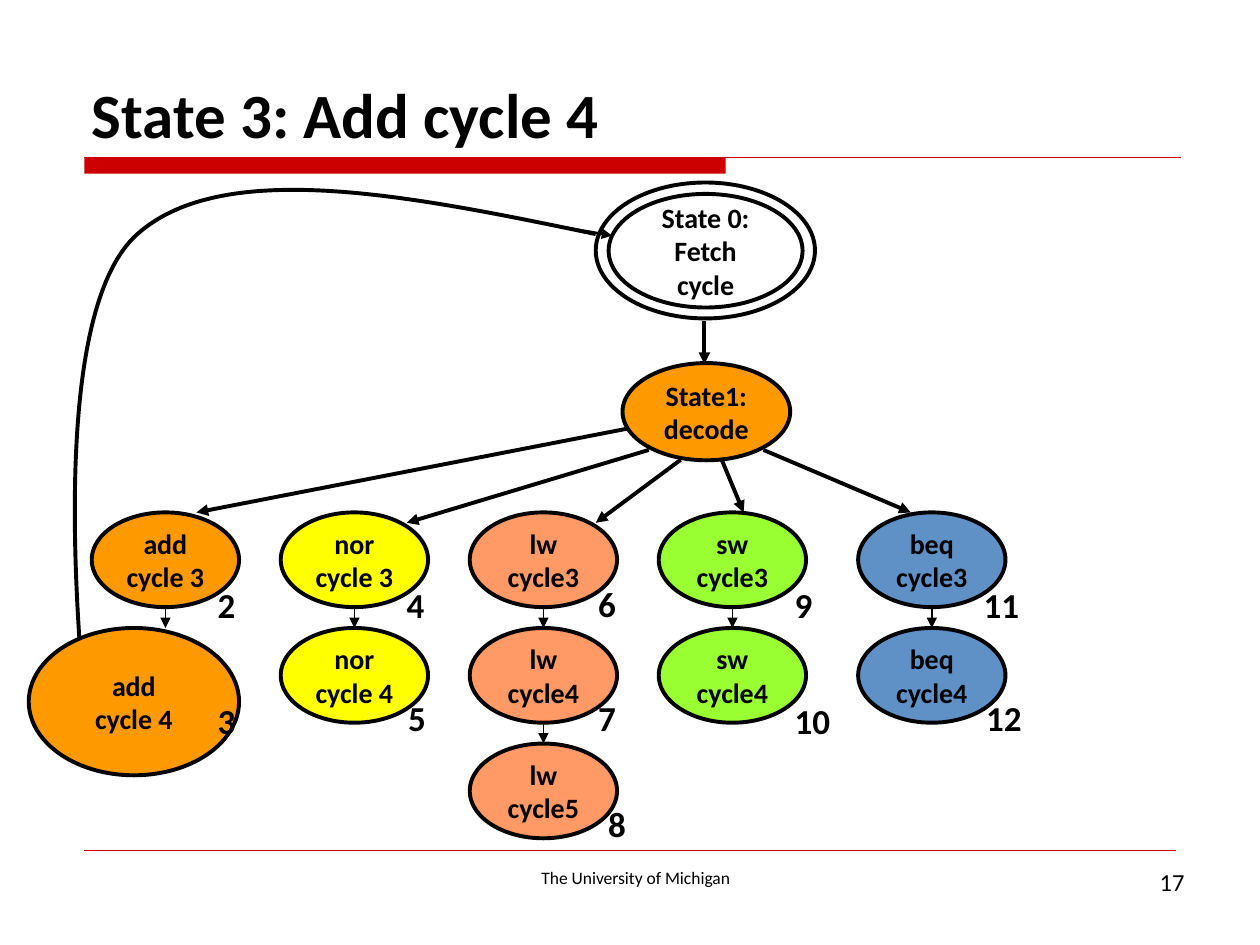
from lxml import etree
from pptx import Presentation
from pptx.dml.color import RGBColor
from pptx.enum.shapes import MSO_CONNECTOR, MSO_SHAPE
from pptx.enum.text import MSO_ANCHOR, PP_ALIGN
from pptx.oxml.ns import qn
from pptx.util import Cm, Pt

LEFT, CENTER, RIGHT = PP_ALIGN.LEFT, PP_ALIGN.CENTER, PP_ALIGN.RIGHT
TOP, MIDDLE, BOTTOM = MSO_ANCHOR.TOP, MSO_ANCHOR.MIDDLE, MSO_ANCHOR.BOTTOM
STRAIGHT, OVAL, RECTANGLE = MSO_CONNECTOR.STRAIGHT, MSO_SHAPE.OVAL, MSO_SHAPE.RECTANGLE
color = RGBColor.from_string
BLACK, RED, ORANGE = "000000", "CC0000", "FF9900"

prs = Presentation()
prs.slide_width, prs.slide_height = Cm(25.4), Cm(19.05)
slide = prs.slides.add_slide(prs.slide_layouts[6])
shapes = slide.shapes


def write(shape, text, size, bold=True, align=LEFT, anchor=TOP, wrap=True):
    frame = shape.text_frame
    frame.text = text
    frame.word_wrap = wrap
    frame.vertical_anchor = anchor
    for paragraph in frame.paragraphs:
        paragraph.alignment = align
        paragraph.font.name = "Calibri"
        paragraph.font.size = Pt(size)
        paragraph.font.bold = bold
        paragraph.font.color.rgb = color(BLACK)


def draw_line(x1, y1, x2, y2, width=2.25, hue=BLACK, arrow=True):
    line = shapes.add_connector(STRAIGHT, Cm(x1), Cm(y1), Cm(x2), Cm(y2))
    line.line.color.rgb = color(hue)
    line.line.width = Pt(width)
    if arrow:
        etree.SubElement(line.line._get_or_add_ln(), qn("a:tailEnd"), type="triangle")
    etree.SubElement(line._element.spPr, qn("a:effectLst"))


# Title rule and footer rule
title_bar = shapes.add_shape(RECTANGLE, Cm(1.7), Cm(3.18), Cm(12.93), Cm(0.32))
title_bar.shadow.inherit = False
title_bar.fill.solid()
title_bar.fill.fore_color.rgb = color(RED)
title_bar.line.fill.background()
draw_line(1.7, 3.18, 23.8, 3.18, 0.75, RED, arrow=False)
draw_line(1.7, 17.15, 23.7, 17.15, 0.25, RED, arrow=False)

# Title, footer and page number
for x, y, w, h, text, size, bold, align, anchor in [
    (1.6, 0.84, 22.23, 2.34, "State 3: Add cycle 4", 36, True, LEFT, BOTTOM),
    (8.05, 17.35, 9.53, 0.69, "The University of Michigan", 10, False, CENTER, TOP),
    (18.21, 17.35, 5.92, 1.32, "17", 14, False, RIGHT, TOP),
]:
    write(shapes.add_textbox(Cm(x), Cm(y), Cm(w), Cm(h)), text, size, bold, align, anchor)

# Return path from add cycle 4 to fetch: three Bézier segments
path_points = [
    (3.43, 14.58),
    (2.59, 15.09), (1.78, 15.6), (1.68, 13.94),
    (1.55, 12.29), (1.04, 6.25), (2.77, 4.72),
    (4.5, 3.18), (8.26, 3.94), (12.01, 4.72),
]
points = [(Cm(x), Cm(y)) for x, y in path_points]
builder = shapes.build_freeform(*points[0])
builder.add_line_segments(points[1:], close=False)
return_path = builder.convert_to_shape()
return_path.shadow.inherit = False
return_path.fill.background()
return_path.line.color.rgb = color(BLACK)
return_path.line.width = Pt(2.25)
outline = return_path._element.spPr.find(".//" + qn("a:path"))
segments = outline.findall(qn("a:lnTo"))
for start in range(0, len(segments), 3):
    curve = etree.SubElement(outline, qn("a:cubicBezTo"))
    for segment in segments[start:start + 3]:
        curve.append(segment[0])
        outline.remove(segment)

# States: shared ones first, then one column per instruction
state_w, state_h = 2.97, 1.91
first_row, row_pitch = 10.33, 2.33
columns = [
    (1.85, ORANGE, ["add\ncycle 3"]),
    (5.66, "FFFF00", ["nor\ncycle 3", "nor\ncycle 4"]),
    (9.47, "FF9966", ["lw\ncycle3", "lw\ncycle4", "lw\ncycle5"]),
    (13.28, "99FF33", ["sw\ncycle3", "sw\ncycle4"]),
    (17.3, "5F91C7", ["beq\ncycle3", "beq\ncycle4"]),
]
states = [
    (12.27, 3.91, 3.91, 2.29, None, "State 0:\nFetch cycle"),
    (12.01, 3.68, 4.42, 2.74, None, ""),
    (12.55, 7.32, 3.38, 1.96, ORANGE, "State1:\ndecode"),
    (0.58, first_row + row_pitch, 4.24, 2.97, ORANGE, "add\ncycle 4"),
]
for x, fill, labels in columns:
    for row, label in enumerate(labels):
        states.append((x, first_row + row * row_pitch, state_w, state_h, fill, label))

for x, y, w, h, fill, label in states:
    state = shapes.add_shape(OVAL, Cm(x), Cm(y), Cm(w), Cm(h))
    state.shadow.inherit = False
    if fill:
        state.fill.solid()
        state.fill.fore_color.rgb = color(fill)
    else:
        state.fill.background()
    state.line.color.rgb = color(BLACK)
    state.line.width = Pt(2.25)
    if label:
        write(state, label, 16, align=CENTER, anchor=MIDDLE)

# Fetch to decode, then decode to each instruction
for ends in [
    (14.2, 6.48, 14.2, 7.34),
    (12.65, 8.64, 3.96, 10.33),
    (13.08, 9.07, 8.2, 10.54),
    (13.72, 9.27, 12.01, 10.54),
    (14.55, 9.27, 14.99, 10.33),
    (15.39, 9.07, 18.36, 10.33),
]:
    draw_line(*ends)

# Arrows down each column
for x, fill, labels in columns:
    center = x + state_w / 2
    for row in range(max(len(labels) - 1, 1)):
        top = first_row + row * row_pitch
        draw_line(center, top + state_h, center, top + row_pitch, 1)

# State numbers
for number, x, y in [
    (2, 4.14, 11.63), (3, 4.14, 13.97),
    (4, 7.95, 11.63), (5, 7.98, 13.92),
    (6, 11.81, 11.61), (7, 11.81, 13.92), (8, 12.01, 16.05),
    (9, 15.77, 11.63), (10, 15.77, 13.97),
    (11, 19.58, 11.63), (12, 19.63, 13.92),
]:
    width = 0.86 if number < 10 else 1.24
    number_box = shapes.add_textbox(Cm(x), Cm(y), Cm(width), Cm(1.12))
    write(number_box, str(number), 20, wrap=False)

# Arrowhead of the return path
draw_line(11.28, 4.57, 12.34, 4.75, 1.5)

prs.save("out.pptx")
